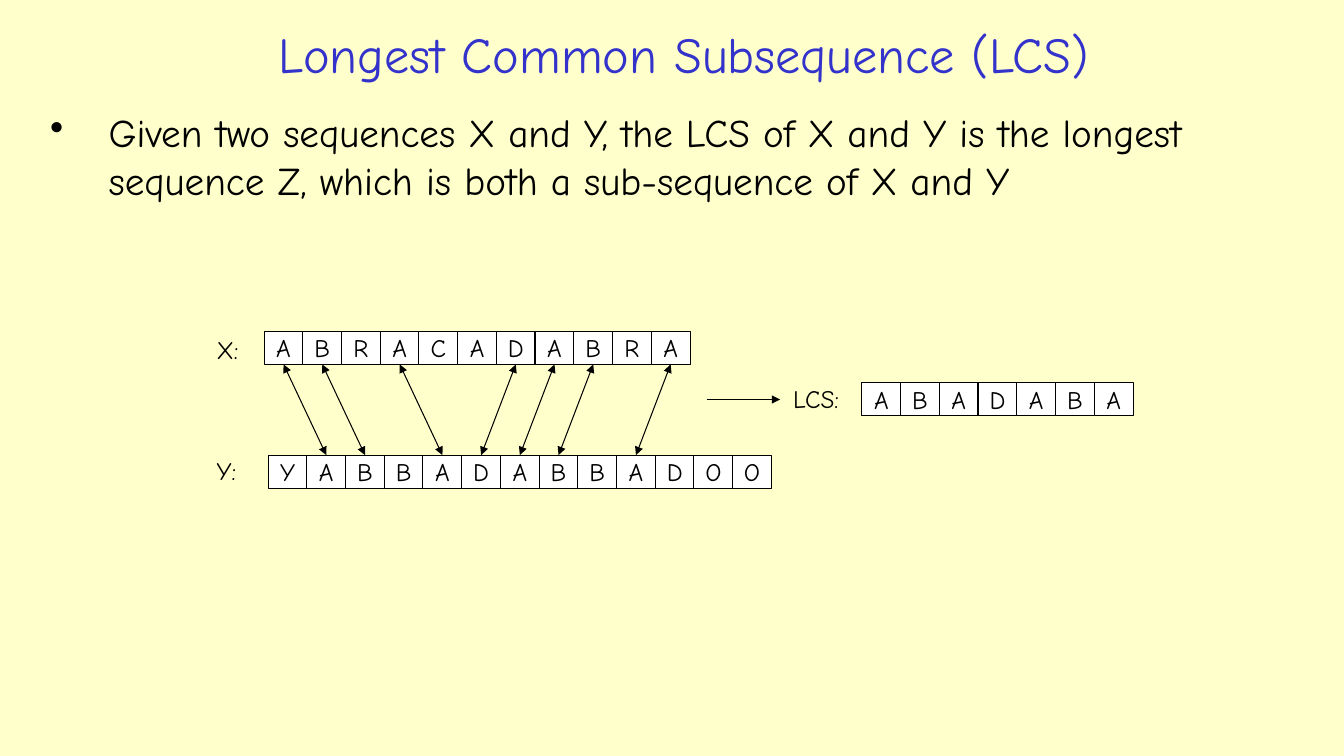
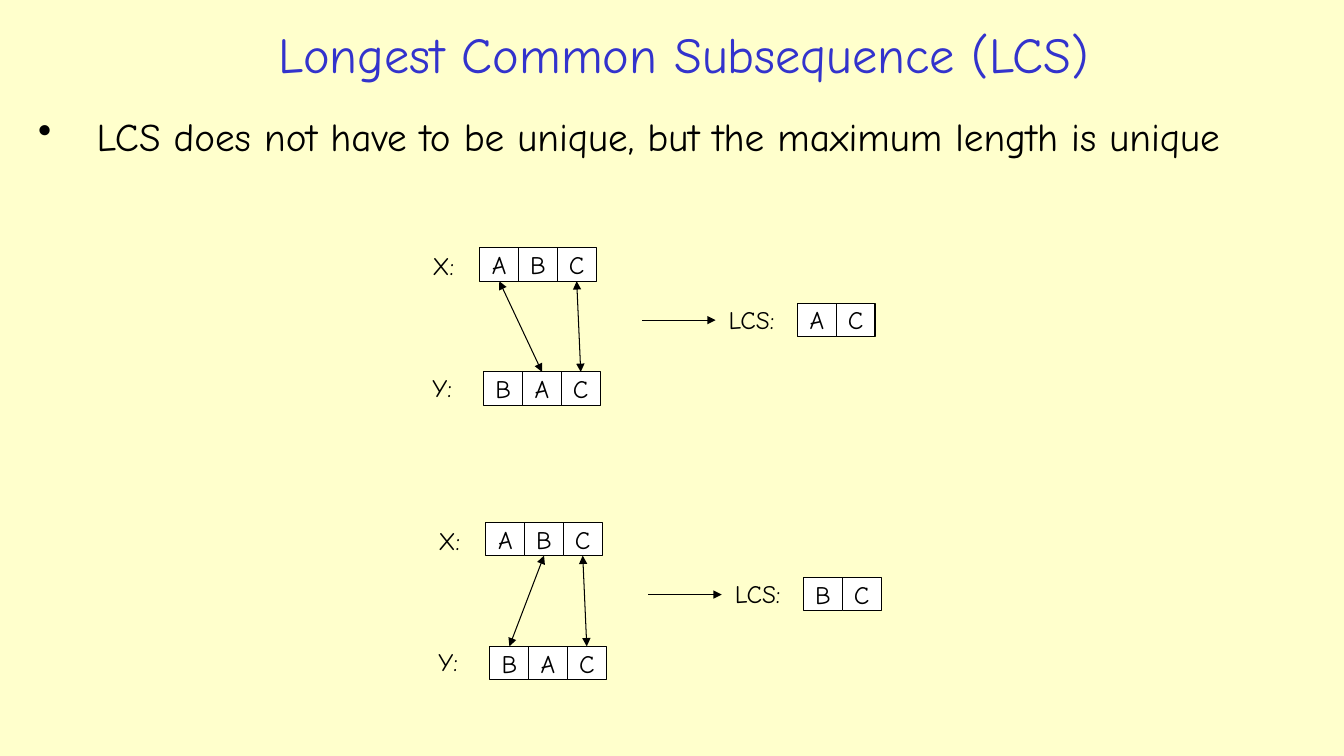
from dataclasses import dataclass

from lxml import etree
from pptx import Presentation
from pptx.dml.color import RGBColor
from pptx.enum.shapes import MSO_CONNECTOR, MSO_SHAPE
from pptx.enum.text import MSO_ANCHOR, MSO_AUTO_SIZE, PP_ALIGN
from pptx.oxml.ns import qn
from pptx.shapes.autoshape import Shape
from pptx.shapes.connector import Connector
from pptx.slide import Slide
from pptx.text.text import TextFrame
from pptx.util import Emu, Inches, Pt

STRAIGHT = MSO_CONNECTOR.STRAIGHT
RECT = MSO_SHAPE.RECTANGLE
MIDDLE = MSO_ANCHOR.MIDDLE
FIT_SHAPE = MSO_AUTO_SIZE.SHAPE_TO_FIT_TEXT
CENTER, LEFT = PP_ALIGN.CENTER, PP_ALIGN.LEFT
TOP_SIDE, BOTTOM_SIDE = 0, 2

COLORS = {"paper": "FFFFCC", "title": "3333CC", "ink": "000000", "cell": "FFFFFF"}
FONT = "Comic Neue"
TITLE = "Longest Common Subsequence (LCS)"
SLIDE_W, SLIDE_H = Inches(13.33), Inches(7.5)
INDENT = Inches(0.58)
LINE_WIDTH = Pt(0.75)

# Positions and sizes below are percentages of the slide's width and height.
TITLE_BOX = (14.78, 2, 72.22, 10.13)
CELL_W, CELL_H, CELL_STEP = 2.9, 4.4, 2.88
Y_ROW_DX, Y_ROW_DY = 0.3, 16.4
LABEL_DX, LABEL_H = -4.27, 5.33
X_LABEL_DY, Y_LABEL_DY = -0.3, 15.8
LCS_LABEL_DX, LCS_LABEL_DY = -5.85, -0.53
ARROW_START, ARROW_END, ARROW_DY = -11.55, -6.08, 2.25


@dataclass(frozen=True)
class Diagram:
    left: float
    top: float
    x: str
    y: str
    lcs: str
    matches: tuple[tuple[int, int], ...]
    lcs_dx: float
    lcs_dy: float


@dataclass(frozen=True)
class Page:
    bullet: str
    box: tuple[float, float, float, float]
    diagrams: tuple[Diagram, ...]


PAGES = (
    Page(
        "Given two sequences X and Y, the LCS of X and Y is the longest "
        "sequence Z, which is both a sub-sequence of X and Y",
        (3, 13.73, 94.95, 21.47),
        (
            Diagram(
                19.65, 43.8, "ABRACADABRA", "YABBADABBADOO", "ABADABA",
                ((0, 1), (1, 2), (3, 4), (6, 5), (7, 6), (8, 7), (10, 9)),
                44.48, 6.8,
            ),
        ),
    ),
    Page(
        "LCS does not have to be unique, but the maximum length is unique",
        (2.1, 14.13, 95.1, 14.8),
        (
            Diagram(35.7, 32.8, "ABC", "BAC", "AC", ((0, 1), (2, 2)), 23.63, 7.3),
            Diagram(36.15, 69.1, "ABC", "BAC", "BC", ((1, 0), (2, 2)), 23.63, 7.3),
        ),
    ),
)


def rgb(name: str) -> RGBColor:
    return RGBColor.from_string(COLORS[name])


def across(share: float) -> Emu:
    return Emu(round(SLIDE_W * share / 100))


def down(share: float) -> Emu:
    return Emu(round(SLIDE_H * share / 100))


def frame(left: float, top: float, width: float, height: float) -> tuple[Emu, ...]:
    return across(left), down(top), across(width), down(height)


def write(tf: TextFrame, text: str, size: int, color: str = "ink",
          align: PP_ALIGN = LEFT) -> None:
    p = tf.paragraphs[0]
    p.alignment = align
    r = p.add_run()
    r.text = text
    r.font.name = FONT
    r.font.size = Pt(size)
    r.font.color.rgb = rgb(color)


def add_title(s: Slide) -> None:
    sp = s.shapes.title
    sp.left, sp.top, sp.width, sp.height = frame(*TITLE_BOX)
    sp.text_frame.vertical_anchor = MIDDLE
    write(sp.text_frame, TITLE, 36, "title", CENTER)


def add_bullet(s: Slide, page: Page) -> None:
    tf = s.shapes.add_textbox(*frame(*page.box)).text_frame
    tf.word_wrap = True
    pPr = tf.paragraphs[0]._p.get_or_add_pPr()
    pPr.set("marL", str(INDENT))
    pPr.set("indent", str(-INDENT))
    etree.SubElement(pPr, qn("a:buChar")).set("char", "•")
    write(tf, page.bullet, 28)


def add_label(s: Slide, text: str, left: float, top: float, width: float) -> None:
    tf = s.shapes.add_textbox(*frame(left, top, width, LABEL_H)).text_frame
    tf.word_wrap = False
    tf.auto_size = FIT_SHAPE
    write(tf, text, 18)


def add_cell(s: Slide, letter: str, left: float, top: float) -> Shape:
    sp = s.shapes.add_shape(RECT, *frame(left, top, CELL_W, CELL_H))
    sp.shadow.inherit = False
    sp.fill.solid()
    sp.fill.fore_color.rgb = rgb("cell")
    sp.line.color.rgb = rgb("ink")
    sp.line.width = LINE_WIDTH
    tf = sp.text_frame
    tf.word_wrap = False
    tf.vertical_anchor = MIDDLE
    write(tf, letter, 18, align=CENTER)
    return sp


def add_row(s: Slide, letters: str, left: float, top: float) -> list[Shape]:
    return [add_cell(s, letter, left + i * CELL_STEP, top)
            for i, letter in enumerate(letters)]


def add_arrow(s: Slide, x1: float, y1: float, x2: float, y2: float,
              ends: tuple[str, ...]) -> Connector:
    c = s.shapes.add_connector(STRAIGHT, across(x1), down(y1), across(x2), down(y2))
    c.line.color.rgb = rgb("ink")
    c.line.width = LINE_WIDTH
    ln = c.line._get_or_add_ln()
    for end in ends:
        etree.SubElement(ln, qn(f"a:{end}")).set("type", "triangle")
    etree.SubElement(c._element.spPr, qn("a:effectLst"))
    return c


def add_match(s: Slide, upper: Shape, lower: Shape) -> None:
    c = add_arrow(s, 0, 0, 0, 0, ("headEnd", "tailEnd"))
    c.begin_connect(upper, BOTTOM_SIDE)
    c.end_connect(lower, TOP_SIDE)


def add_diagram(s: Slide, d: Diagram) -> None:
    x_cells = add_row(s, d.x, d.left, d.top)
    y_cells = add_row(s, d.y, d.left + Y_ROW_DX, d.top + Y_ROW_DY)
    for i, j in d.matches:
        add_match(s, x_cells[i], y_cells[j])
    lcs_left, lcs_top = d.left + d.lcs_dx, d.top + d.lcs_dy
    add_row(s, d.lcs, lcs_left, lcs_top)
    add_label(s, "LCS:", lcs_left + LCS_LABEL_DX, lcs_top + LCS_LABEL_DY, 5.55)
    add_label(s, "X:", d.left + LABEL_DX, d.top + X_LABEL_DY, 3.45)
    add_label(s, "Y:", d.left + LABEL_DX, d.top + Y_LABEL_DY, 3.23)
    arrow_y = lcs_top + ARROW_DY
    add_arrow(s, lcs_left + ARROW_START, arrow_y,
              lcs_left + ARROW_END, arrow_y, ("tailEnd",))


def main() -> None:
    prs = Presentation()
    prs.slide_width, prs.slide_height = SLIDE_W, SLIDE_H
    fill = prs.slide_master.background.fill
    fill.solid()
    fill.fore_color.rgb = rgb("paper")
    title_only = prs.slide_layouts.get_by_name("Title Only")
    for page in PAGES:
        s = prs.slides.add_slide(title_only)
        add_title(s)
        add_bullet(s, page)
        for d in page.diagrams:
            add_diagram(s, d)
    prs.save("out.pptx")


if __name__ == "__main__":
    main()
